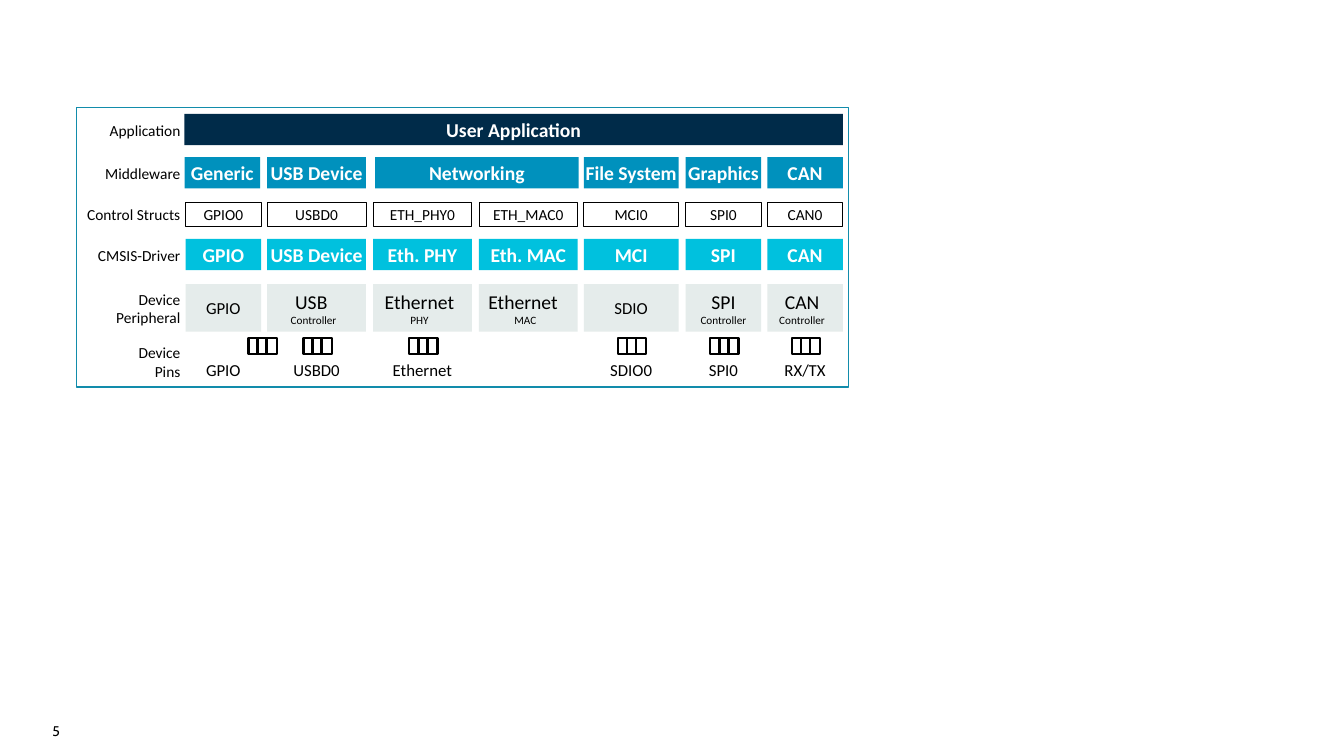
from dataclasses import dataclass
from typing import Any

from lxml import etree
from pptx import Presentation
from pptx.dml.color import RGBColor
from pptx.enum.shapes import MSO_CONNECTOR, MSO_SHAPE
from pptx.enum.text import MSO_ANCHOR, PP_ALIGN
from pptx.oxml.ns import qn
from pptx.util import Inches, Pt

RECTANGLE = MSO_SHAPE.RECTANGLE
STRAIGHT = MSO_CONNECTOR.STRAIGHT
TOP, MIDDLE = MSO_ANCHOR.TOP, MSO_ANCHOR.MIDDLE
LEFT, CENTER, RIGHT = PP_ALIGN.LEFT, PP_ALIGN.CENTER, PP_ALIGN.RIGHT

BLACK, WHITE = "000000", "FFFFFF"
FRAME_LINE = "128CAB"
APPLICATION_FILL = "002B49"
MIDDLEWARE_FILL = "0091BD"
DRIVER_FILL = "00C1DE"
PERIPHERAL_FILL = "E5ECEB"

STACK_LEFT, STACK_WIDTH = 1.83, 6.53
BAR_HEIGHT = 0.31
PIN_TOP, PIN_WIDTH, PIN_HEIGHT = 3.35, 0.28, 0.16


@dataclass(frozen=True)
class Box:
    left: float
    top: float
    width: float
    height: float


@dataclass(frozen=True)
class TextStyle:
    size: float = 11
    color: str = BLACK
    bold: bool = False
    align: Any = CENTER
    anchor: Any = MIDDLE
    font: str = "Calibri"
    inset_right: float = 0


@dataclass(frozen=True)
class Layer:
    label: tuple[str, ...]
    top: float
    height: float


@dataclass(frozen=True)
class Middleware:
    name: str
    left: float
    width: float


@dataclass(frozen=True)
class Interface:
    left: float
    width: float
    control: str
    driver: str
    peripheral: tuple[str, ...]
    pins: str = ""
    pin_shift: float = 0.01
    inset_right: float = 0


LABEL = TextStyle(align=RIGHT, inset_right=0.04)
BAR = TextStyle(size=14, color=WHITE, bold=True)
PIN_NAME = TextStyle(size=12)
PAGE_NUMBER = TextStyle(size=10, align=LEFT, anchor=TOP, font="Cabin")

LAYERS = (
    Layer(("Application",), 1.13, 0.32),
    Layer(("Middleware",), 1.56, 0.32),
    Layer(("Control Structs",), 2.01, 0.24),
    Layer(("CMSIS-Driver",), 2.37, 0.32),
    Layer(("Device", "Peripheral"), 2.82, 0.48),
    Layer(("Device", "Pins"), 3.35, 0.48),
)
MIDDLEWARES = (
    Middleware("Generic", 1.83, 0.75),
    Middleware("USB Device", 2.65, 0.98),
    Middleware("Networking", 3.72, 2.02),
    Middleware("File System", 5.79, 0.94),
    Middleware("Graphics", 6.8, 0.75),
    Middleware("CAN", 7.61, 0.75),
)
INTERFACES = (
    Interface(1.84, 0.75, "GPIO0", "GPIO", ("GPIO",), "GPIO", 0.39),
    Interface(2.65, 0.98, "USBD0", "USB Device", ("USB ", "Controller"),
              "USBD0", inset_right=0.06),
    Interface(3.7, 0.98, "ETH_PHY0", "Eth. PHY", ("Ethernet", "PHY"),
              "Ethernet", inset_right=0.06),
    Interface(4.75, 0.98, "ETH_MAC0", "Eth. MAC", ("Ethernet ", "MAC"),
              inset_right=0.06),
    Interface(5.79, 0.94, "MCI0", "MCI", ("SDIO",), "SDIO0"),
    Interface(6.8, 0.75, "SPI0", "SPI", ("SPI", "Controller"), "SPI0"),
    Interface(7.61, 0.75, "CAN0", "CAN", ("CAN", "Controller"),
              "RX/TX", inset_right=0.06),
)


def rgb(color: str) -> RGBColor:
    return RGBColor.from_string(color)


def lengths(box: Box) -> tuple[int, ...]:
    return tuple(map(Inches, (box.left, box.top, box.width, box.height)))


def write(shape: Any, lines: tuple[str, ...], style: TextStyle,
          sizes: tuple[float, ...] = ()) -> None:
    frame = shape.text_frame
    frame_format = {
        "word_wrap": True, "vertical_anchor": style.anchor,
        "margin_left": 0, "margin_right": Inches(style.inset_right),
        "margin_top": 0, "margin_bottom": 0,
    }
    for attribute, value in frame_format.items():
        setattr(frame, attribute, value)
    for index, line in enumerate(lines):
        paragraph = frame.add_paragraph() if index else frame.paragraphs[0]
        paragraph.alignment = style.align
        run = paragraph.add_run()
        run.text = line
        size = sizes[index] if sizes else style.size
        font_format = {"name": style.font, "size": Pt(size), "bold": style.bold}
        for attribute, value in font_format.items():
            setattr(run.font, attribute, value)
        run.font.color.rgb = rgb(style.color)


def add_block(shapes: Any, box: Box, fill: str = "", line: str = "",
              weight: float = 0.5) -> Any:
    block = shapes.add_shape(RECTANGLE, *lengths(box))
    block.shadow.inherit = False
    if fill:
        block.fill.solid()
        block.fill.fore_color.rgb = rgb(fill)
    else:
        block.fill.background()
    if line:
        block.line.color.rgb = rgb(line)
        block.line.width = Pt(weight)
    else:
        block.line.fill.background()
    return block


def add_label(shapes: Any, box: Box, lines: tuple[str, ...], style: TextStyle) -> None:
    write(shapes.add_textbox(*lengths(box)), lines, style)


def add_pins(shapes: Any, center: float) -> None:
    pins = shapes.add_group_shape().shapes
    add_block(pins, Box(center - PIN_WIDTH / 2, PIN_TOP, PIN_WIDTH, PIN_HEIGHT),
              line=BLACK, weight=1.5)
    for offset in (-0.05, 0.04):
        x = Inches(center + offset)
        divider = pins.add_connector(STRAIGHT, x, Inches(PIN_TOP + PIN_HEIGHT),
                                     x, Inches(PIN_TOP))
        divider.line.color.rgb = rgb(BLACK)
        divider.line.width = Pt(1.75)
        etree.SubElement(divider._element.spPr, qn("a:effectLst"))


def add_interface(shapes: Any, interface: Interface) -> None:
    left, width = interface.left, interface.width
    control = add_block(shapes, Box(left, 2.01, width, 0.24), line=BLACK)
    write(control, (interface.control,), TextStyle())
    driver = add_block(shapes, Box(left, 2.37, width, BAR_HEIGHT), DRIVER_FILL)
    write(driver, (interface.driver,), BAR)
    peripheral = add_block(shapes, Box(left, 2.82, width, 0.47), PERIPHERAL_FILL)
    sizes = (14, 8) if len(interface.peripheral) > 1 else (12,)
    write(peripheral, interface.peripheral,
          TextStyle(inset_right=interface.inset_right), sizes)
    if interface.pins:
        add_pins(shapes, left + width / 2 + interface.pin_shift)
        add_label(shapes, Box(left, 3.52, width, 0.3), (interface.pins,), PIN_NAME)


def main() -> None:
    presentation = Presentation()
    presentation.slide_width = Inches(13.33)
    presentation.slide_height = Inches(7.5)
    shapes = presentation.slides.add_slide(presentation.slide_layouts[6]).shapes

    add_label(shapes, Box(0.52, 7.17, 1.43, 0.26), ("5",), PAGE_NUMBER)
    add_block(shapes, Box(0.76, 1.07, 7.66, 2.77), WHITE, FRAME_LINE, 0.75)
    for layer in LAYERS:
        add_label(shapes, Box(0.65, layer.top, 1.18, layer.height), layer.label, LABEL)
    application = add_block(
        shapes, Box(STACK_LEFT, 1.13, STACK_WIDTH, BAR_HEIGHT), APPLICATION_FILL)
    write(application, ("User Application",), BAR)
    for middleware in MIDDLEWARES:
        bar = add_block(shapes, Box(middleware.left, 1.56, middleware.width, BAR_HEIGHT),
                        MIDDLEWARE_FILL)
        write(bar, (middleware.name,), BAR)
    for interface in INTERFACES:
        add_interface(shapes, interface)

    presentation.save("out.pptx")


if __name__ == "__main__":
    main()
